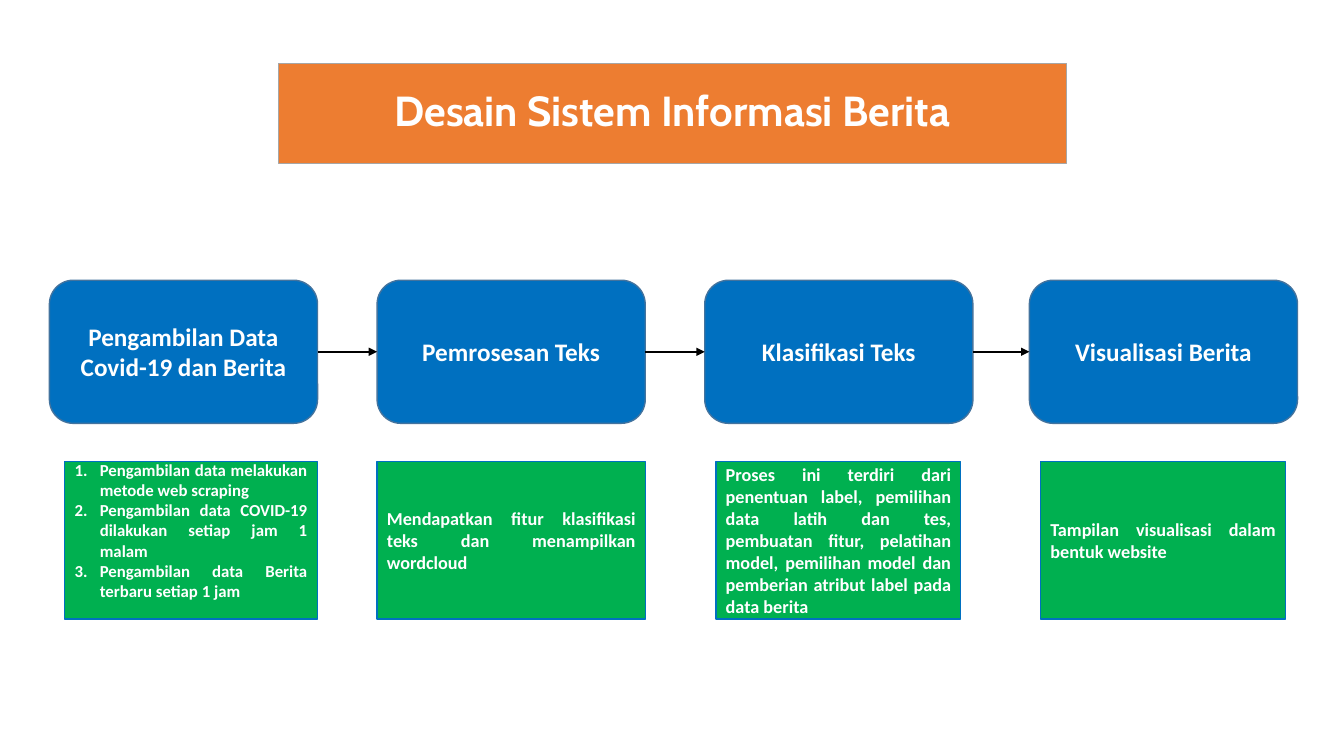
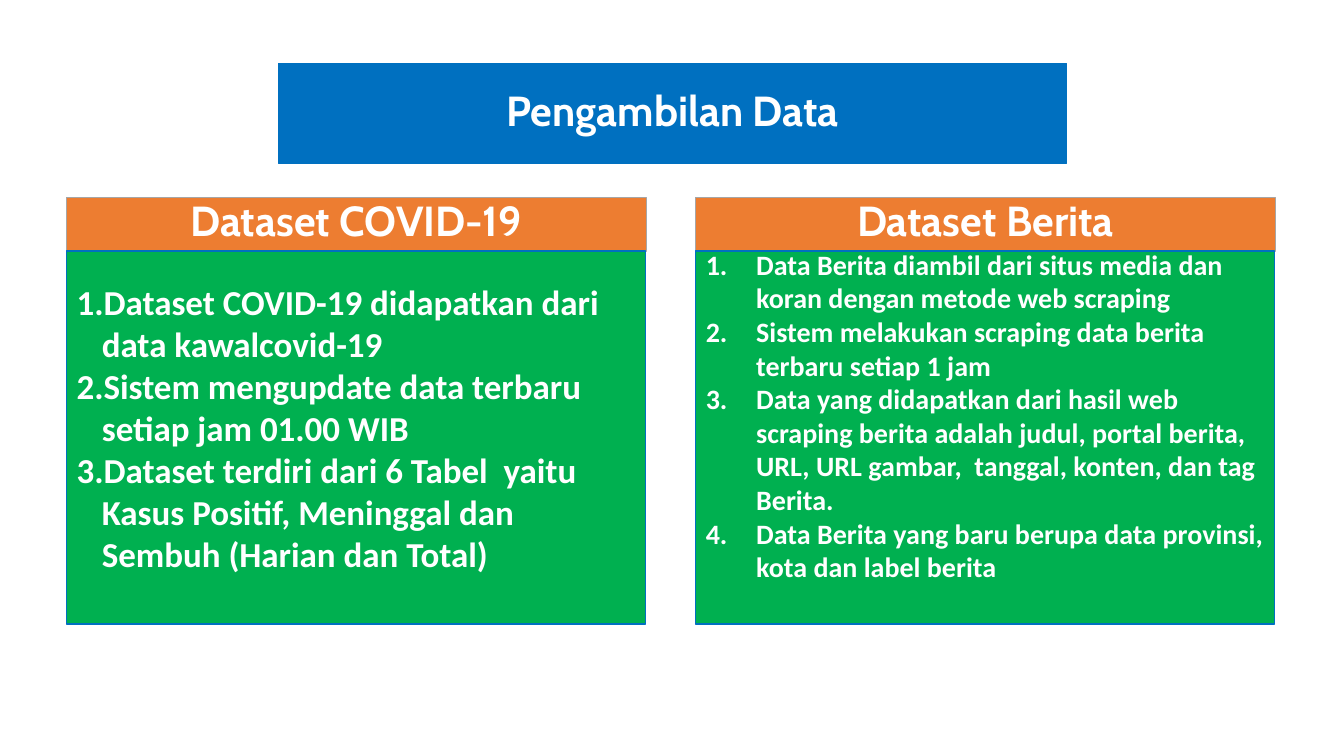
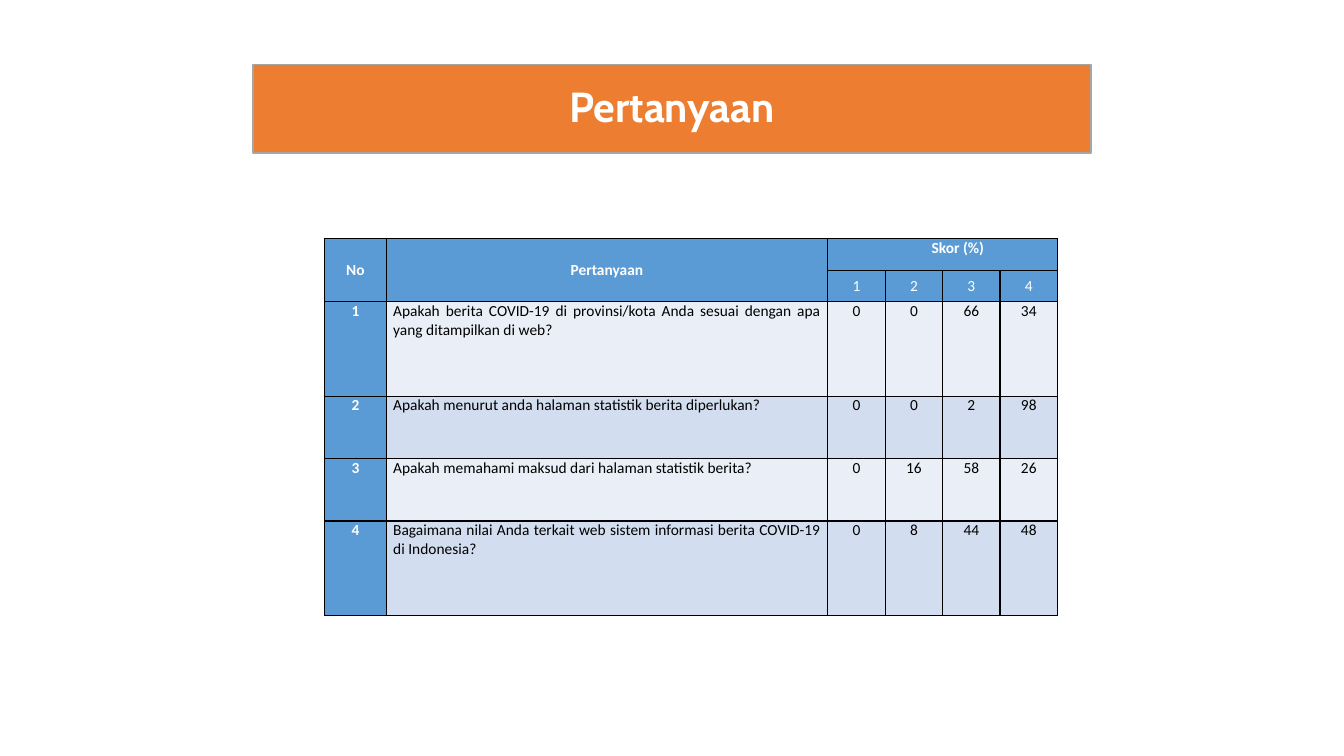
from lxml.etree import SubElement
from pptx import Presentation
from pptx.dml.color import RGBColor
from pptx.enum.shapes import MSO_CONNECTOR as Connector, MSO_SHAPE as Preset
from pptx.enum.text import MSO_ANCHOR as Anchor, MSO_AUTO_SIZE as AutoSize, PP_ALIGN as Align
from pptx.oxml.ns import qn
from pptx.util import Pt

PX = 9144  # one px is a hundredth of an inch
SLIDE_SIZE = (1333, 750)

WHITE = RGBColor(0xFF, 0xFF, 0xFF)
BLACK = RGBColor(0x00, 0x00, 0x00)
ORANGE = RGBColor(0xED, 0x7D, 0x31)
GREY = RGBColor(0xA6, 0xA6, 0xA6)
BLUE = RGBColor(0x00, 0x70, 0xC0)
STEEL = RGBColor(0x43, 0x73, 0x9E)
GREEN = RGBColor(0x00, 0xB0, 0x50)
TABLE_BLUE = RGBColor(0x5B, 0x9B, 0xD5)
BANDS = (RGBColor(0xEA, 0xEF, 0xF7), RGBColor(0xD2, 0xDE, 0xEF))

TITLE_AREA = (276, 63, 782, 99)
WIDE_TITLE_AREA = (251, 64, 831, 88)

# Slide 1: stage name and left edge; note lines, left edge and width
STAGE_TOP, STAGE_WIDTH, STAGE_HEIGHT = 278, 266, 142
NOTE_TOP, NOTE_HEIGHT = 458, 156
STAGES = [
    ("Pengambilan Data Covid-19 dan Berita", 49),
    ("Pemrosesan Teks", 374),
    ("Klasifikasi Teks", 699),
    ("Visualisasi Berita", 1021),
]
STEP_NOTES = [
    "Pengambilan data melakukan metode web scraping",
    "Pengambilan data COVID-19 dilakukan setiap jam 1 malam",
    "Pengambilan data Berita terbaru setiap 1 jam",
]
STEP_AREA = (64, NOTE_TOP, 251, NOTE_HEIGHT)
NOTES = [
    ("Mendapatkan fitur klasifikasi teks dan menampilkan wordcloud", 374, 266),
    ("Proses ini terdiri dari penentuan label, pemilihan data latih dan tes, "
     "pembuatan fitur, pelatihan model, pemilihan model dan pemberian atribut "
     "label pada data berita", 710, 243),
    ("Tampilan visualisasi dalam bentuk website", 1032, 243),
]

# Slide 2
DATASETS = [
    dict(head="Dataset COVID-19", left=66, size=25, indent=25, insets=(10, 5, 10, 25), lines=[
        "Dataset COVID-19 didapatkan dari data kawalcovid-19",
        "Sistem mengupdate data terbaru setiap jam 01.00 WIB",
        "Dataset terdiri dari 6 Tabel  yaitu Kasus Positif, Meninggal dan "
        "Sembuh (Harian dan Total)",
    ]),
    dict(head="Dataset Berita", left=690, size=20, indent=50, insets=(10, 0, 10, 44), lines=[
        "Data Berita diambil dari situs media dan koran dengan metode web scraping",
        "Sistem melakukan scraping data berita terbaru setiap 1 jam",
        "Data yang didapatkan dari hasil web scraping berita adalah judul, portal "
        "berita, URL, URL gambar,  tanggal, konten, dan tag Berita.",
        "Data Berita yang baru berupa data provinsi, kota dan label berita",
    ]),
]

# Slide 3
TABLE_AREA = (322, 237, 728, 374)
COLUMN_WIDTHS = [61, 438] + [57] * 4
ROW_HEIGHTS = [31, 31, 94, 62, 62, 94]
HEADER_ROWS = [
    ["No", "Pertanyaan", "Skor (%)", "", "", ""],
    ["", "", "1", "2", "3", "4"],
]
HEADER_MERGES = [((0, 0), (1, 0)), ((0, 1), (1, 1)), ((0, 2), (0, 5))]
ANSWERS = [
    ["1", "Apakah berita COVID-19 di provinsi/kota Anda sesuai dengan apa yang "
          "ditampilkan di web?", "0", "0", "66", "34"],
    ["2", "Apakah menurut anda halaman statistik berita diperlukan?", "0", "0", "2", "98"],
    ["3", "Apakah memahami maksud dari halaman statistik berita?", "0", "16", "58", "26"],
    ["4", "Bagaimana nilai Anda terkait web sistem informasi berita COVID-19 di "
          "Indonesia?", "0", "8", "44", "48"],
]


def emu(*lengths):
    return [length * PX for length in lengths]


def write(frame, lines, *, size, font="Calibri", color=WHITE, bold=True,
          align=Align.CENTER, spacing=1.0, indent=0):
    """Write one paragraph per line; an indent makes them a numbered list."""
    for index, line in enumerate(lines):
        para = frame.paragraphs[0] if index == 0 else frame.add_paragraph()
        if indent:
            props = para._p.get_or_add_pPr()
            props.set("marL", str(indent * PX))
            props.set("indent", str(-indent * PX))
            SubElement(props, qn("a:buFont"), typeface="Calibri")
            SubElement(props, qn("a:buAutoNum"), type="arabicPeriod")
        para.alignment = align
        para.line_spacing = spacing
        para.space_before = Pt(0)
        span = para.add_run()
        span.text = line
        span.font.name = font
        span.font.size = Pt(size)
        span.font.bold = bold
        span.font.color.rgb = color


def dress(box, area, fill, edge, lines, insets=(10, 5, 10, 5), **text_format):
    """Place, fill and outline a shape or placeholder, then write in it."""
    box.left, box.top, box.width, box.height = emu(*area)
    box.shadow.inherit = False
    box.fill.solid()
    box.fill.fore_color.rgb = fill
    box.line.color.rgb = edge
    box.line.width = Pt(1)
    frame = box.text_frame
    frame.word_wrap = True
    frame.auto_size = AutoSize.NONE
    frame.vertical_anchor = Anchor.MIDDLE
    (frame.margin_left, frame.margin_top,
     frame.margin_right, frame.margin_bottom) = emu(*insets)
    write(frame, lines, **text_format)
    return box


def add_box(page, preset, area, *args, **text_format):
    box = page.shapes.add_shape(preset, *emu(*area))
    return dress(box, area, *args, **text_format)


def add_page(deck, layout, title, area=TITLE_AREA, fill=ORANGE, edge=GREY):
    page = deck.slides.add_slide(deck.slide_layouts.get_by_name(layout))
    dress(page.shapes.title, area, fill, edge, [title], font="Cabin", size=30, spacing=0.9)
    return page


def add_arrow(page, start, end):
    arrow = page.shapes.add_connector(Connector.STRAIGHT, 0, 0, 0, 0)
    arrow.begin_connect(start, 3)
    arrow.end_connect(end, 1)
    arrow.line.color.rgb = BLACK
    arrow.line.width = Pt(1.5)
    SubElement(arrow.line._get_or_add_ln(), qn("a:tailEnd"), type="triangle")
    SubElement(arrow._element.spPr, qn("a:effectLst"))


def add_borders(cell):
    props = cell._tc.get_or_add_tcPr()
    for side in ("lnL", "lnR", "lnT", "lnB"):
        line = SubElement(props, qn(f"a:{side}"), w=str(Pt(1)))
        fill = SubElement(line, qn("a:solidFill"))
        SubElement(fill, qn("a:srgbClr"), val=str(BLACK))


def build_design(deck):
    page = add_page(deck, "Title and Content", "Desain Sistem Informasi Berita")
    stages = [
        add_box(page, Preset.ROUNDED_RECTANGLE, (left, STAGE_TOP, STAGE_WIDTH, STAGE_HEIGHT),
                BLUE, STEEL, [name], size=18)
        for name, left in STAGES
    ]
    for start, end in zip(stages, stages[1:]):
        add_arrow(page, start, end)
    dress(page.placeholders[1], STEP_AREA, GREEN, BLUE, STEP_NOTES,
          insets=(10, 5, 10, 25), size=12, align=Align.JUSTIFY, indent=25)
    for note, left, width in NOTES:
        add_box(page, Preset.RECTANGLE, (left, NOTE_TOP, width, NOTE_HEIGHT),
                GREEN, BLUE, [note], size=13, align=Align.JUSTIFY)


def build_datasets(deck):
    page = add_page(deck, "Comparison", "Pengambilan Data", fill=BLUE, edge=BLUE)
    for index, data in enumerate(DATASETS):
        head, body = (page.placeholders[2 * index + offset] for offset in (1, 2))
        dress(head, (data["left"], 196, 575, 53), ORANGE, GREY, [data["head"]],
              font="Cabin", size=30, spacing=0.8)
        dress(body, (data["left"], 249, 574, 370), GREEN, BLUE, data["lines"],
              insets=data["insets"], size=data["size"], align=Align.LEFT,
              indent=data["indent"])


def build_questions(deck):
    page = add_page(deck, "Title Only", "Pertanyaan", area=WIDE_TITLE_AREA)
    rows = HEADER_ROWS + ANSWERS
    table = page.shapes.add_table(len(rows), len(COLUMN_WIDTHS), *emu(*TABLE_AREA)).table
    table.first_row = table.horz_banding = False
    for column, width in zip(table.columns, COLUMN_WIDTHS):
        column.width = width * PX
    for row, height in zip(table.rows, ROW_HEIGHTS):
        row.height = height * PX
    for first, last in HEADER_MERGES:
        table.cell(*first).merge(table.cell(*last))

    for r, row in enumerate(rows):
        for c, text in enumerate(row):
            cell = table.cell(r, c)
            header = r < len(HEADER_ROWS)
            shaded = header or c == 0
            group_head = (r, c) == (0, 2)
            add_borders(cell)
            cell.fill.solid()
            cell.fill.fore_color.rgb = TABLE_BLUE if shaded else BANDS[r % 2]
            # The score heading sits a little right of centre
            (cell.margin_left, cell.margin_top,
             cell.margin_right, cell.margin_bottom) = emu(37 if group_head else 7, 0, 7, 0)
            cell.vertical_anchor = Anchor.MIDDLE if header and not group_head else Anchor.TOP
            if text:
                write(cell.text_frame, [text], size=11,
                      color=WHITE if shaded else BLACK,
                      bold=shaded and not (r == 1 and c > 1),
                      align=Align.JUSTIFY if c == 1 and not header else Align.CENTER)


def main():
    deck = Presentation()
    deck.slide_width, deck.slide_height = emu(*SLIDE_SIZE)
    build_design(deck)
    build_datasets(deck)
    build_questions(deck)
    deck.save("out.pptx")


if __name__ == "__main__":
    main()
